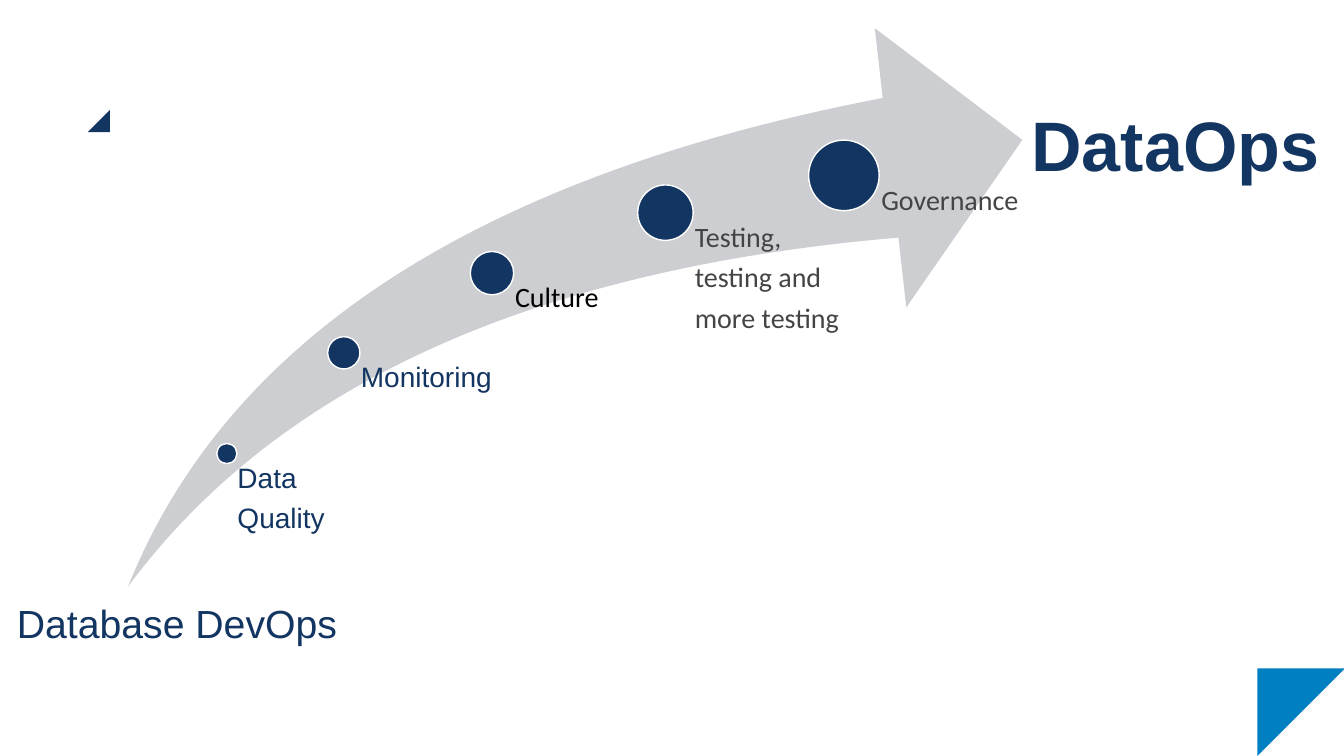
import pptx
import pptx.util
import pptx.dml.color
import pptx.enum.shapes
import pptx.enum.text
from dataclasses import dataclass

Inches = pptx.util.Inches
Preset = pptx.enum.shapes.MSO_SHAPE


@dataclass(frozen=True)
class Theme:
    navy: str = "133561"
    blue: str = "007FC3"
    swoosh: str = "CCCED2"
    white: str = "FFFFFF"
    black: str = "000000"
    gray: str = "444444"
    heading_font: str = "Arial"
    body_font: str = "Calibri"
    goal_size: int = 50
    start_size: int = 28
    label_size: int = 20


THEME = Theme()

GOAL = ("DataOps", (10.13, 0.96, 3.2, 0.94))
START = ("Database DevOps", (0.07, 5.9, 3.77, 0.57))
SWOOSH = (1.27, 0.28, 8.87, 5.54)
CORNERS = [
    ((0.87, 1.09, 0.22, 0.22), 270, THEME.navy),
    ((12.47, 6.63, 0.87, 0.87), 90, THEME.blue),
]
MILESTONES = [
    ("Data Quality", (2.25, 4.5), 0.2, 1.16, THEME.heading_font, THEME.navy),
    ("Monitoring", (3.41, 3.5), 0.32, 1.47, THEME.heading_font, THEME.navy),
    ("Culture", (4.88, 2.71), 0.43, 1.71, THEME.body_font, THEME.black),
    ("Testing, testing and more testing", (6.6, 2.11), 0.55, 1.77,
     THEME.body_font, THEME.gray),
    ("Governance", (8.37, 1.74), 0.7, 1.77, THEME.body_font, THEME.gray),
]
INSET_PER_DIAMETER = 0.53


def color(value):
    return pptx.dml.color.RGBColor.from_string(value)


def add_figure(page, preset, frame, fill, line=None):
    figure = page.shapes.add_shape(preset, *map(Inches, frame))
    figure.shadow.inherit = False
    figure.fill.solid()
    figure.fill.fore_color.rgb = color(fill)
    if line:
        figure.line.color.rgb = color(line)
        figure.line.width = pptx.util.Pt(1)
    else:
        figure.line.fill.background()
    return figure


def write(box, text, font, size, ink, bold=False):
    frame = box.text_frame
    frame.word_wrap = True
    frame.auto_size = pptx.enum.text.MSO_AUTO_SIZE.NONE
    frame.vertical_anchor = pptx.enum.text.MSO_ANCHOR.TOP
    para = frame.paragraphs[0]
    para.text = text
    para.alignment = pptx.enum.text.PP_ALIGN.LEFT
    para.font.name = font
    para.font.size = pptx.util.Pt(size)
    para.font.bold = bold
    para.font.color.rgb = color(ink)
    return para


def add_milestone(page, text, center, diameter, width, font, ink):
    x, y = center
    dot = (x - diameter / 2, y - diameter / 2, diameter, diameter)
    add_figure(page, Preset.OVAL, dot, THEME.navy, THEME.white)
    bottom = SWOOSH[1] + SWOOSH[3]
    label = page.shapes.add_textbox(*map(Inches, (x, y, width, bottom - y)))
    frame = label.text_frame
    frame.margin_left = Inches(diameter * INSET_PER_DIAMETER)
    frame.margin_top = frame.margin_right = frame.margin_bottom = 0
    para = write(label, text, font, THEME.label_size, ink)
    para.line_spacing = 1.2


def main():
    deck = pptx.Presentation()
    deck.slide_width = Inches(13.33)
    deck.slide_height = Inches(7.5)
    page = deck.slides.add_slide(deck.slide_layouts.get_by_name("Title Only"))

    for frame, rotation, fill in CORNERS:
        add_figure(page, Preset.RIGHT_TRIANGLE, frame, fill).rotation = rotation

    arrow = add_figure(page, Preset.SWOOSH_ARROW, SWOOSH, THEME.swoosh)
    arrow.adjustments[0] = 0.25
    arrow.adjustments[1] = 0.25
    for milestone in MILESTONES:
        add_milestone(page, *milestone)

    text, frame = START
    start = page.shapes.add_textbox(*map(Inches, frame))
    write(start, text, THEME.heading_font, THEME.start_size, THEME.navy)

    text, frame = GOAL
    title = page.shapes.title
    title.left, title.top, title.width, title.height = map(Inches, frame)
    write(title, text, THEME.heading_font, THEME.goal_size, THEME.navy, True)

    deck.save("out.pptx")


if __name__ == "__main__":
    main()
